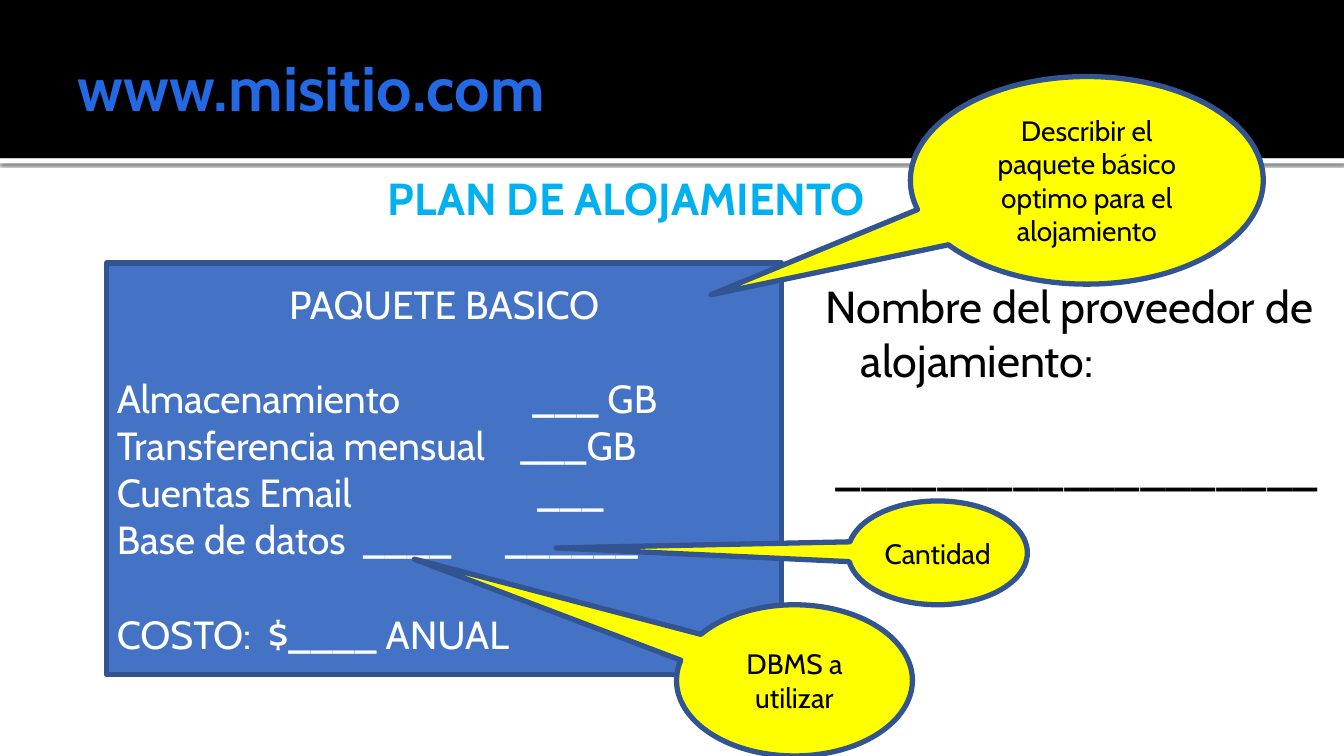
import pptx
import pptx.util
import pptx.dml.color
import pptx.enum.shapes
import pptx.enum.text
import lxml.etree
from dataclasses import dataclass

Inches, Pt = pptx.util.Inches, pptx.util.Pt
Kind = pptx.enum.shapes.MSO_SHAPE
Align = pptx.enum.text.PP_ALIGN
Anchor = pptx.enum.text.MSO_ANCHOR
Fit = pptx.enum.text.MSO_AUTO_SIZE

FONT = "Cabin"
COLORS = {
    "white": "FFFFFF", "black": "000000", "title": "2469E4", "plan": "00B0F0",
    "box": "4472C4", "edge": "325491", "bubble": "FFFF00",
}


@dataclass
class Row:
    text: str
    tabs: tuple = ()
    gap: float = 0
    align: Align = Align.LEFT


@dataclass
class Bubble:
    text: str
    area: tuple
    tip: tuple


PACKAGE = [
    Row("PAQUETE BASICO", align=Align.CENTER),
    Row("Almacenamiento\t___ GB", (4.12,), 34),
    Row("Transferencia mensual\t___GB", (4,)),
    Row("Cuentas Email\t___", (4.17,)),
    Row("Base de datos\t____\t______", (2.44, 3.85)),
    Row("COSTO:\t$____ ANUAL", (1.5,), 34),
]
HOST = [
    Row("Nombre del proveedor de alojamiento:"),
    Row(" ___________________", gap=39),
]
BUBBLES = [
    Bubble("Describir el paquete básico optimo para el alojamiento",
           (9.03, 0.76, 3.5, 2.06), (-1.065, 0.551)),
    Bubble("DBMS a utilizar", (6.71, 6, 2.34, 1.5), (-1.611, -0.802)),
    Bubble("Cantidad", (8.41, 4.97, 1.78, 1.03), (-2.126, -0.047)),
]


def color(name: str) -> pptx.dml.color.RGBColor:
    return pptx.dml.color.RGBColor.from_string(COLORS[name])


def add_xml(parent, tag: str, **attrs):
    name = pptx.oxml.ns.qn(f"a:{tag}")
    return lxml.etree.SubElement(parent, name, attrs)


def style(para, size: float, tint: str, bold: bool = False) -> None:
    para.font.name = FONT
    para.font.size = Pt(size)
    para.font.bold = bold
    para.font.color.rgb = color(tint)


def write(frame, rows: list, size: float, tint: str, bold: bool = False) -> None:
    for i, row in enumerate(rows):
        para = frame.add_paragraph() if i else frame.paragraphs[0]
        para.text = row.text
        para.alignment = row.align
        para.space_before = Pt(row.gap)
        if row.tabs:
            stops = add_xml(para._p.get_or_add_pPr(), "tabLst")
            for stop in row.tabs:
                add_xml(stops, "tab", pos=str(Inches(stop)), algn="l")
        style(para, size, tint, bold)


def inset(frame, left: float, top: float, right: float, bottom: float) -> None:
    frame.margin_left, frame.margin_top = Inches(left), Inches(top)
    frame.margin_right, frame.margin_bottom = Inches(right), Inches(bottom)


def add_shape(slide, kind: Kind, area: tuple, fill: str, edge: bool = True):
    shape = slide.shapes.add_shape(kind, *map(Inches, area))
    shape.shadow.inherit = False
    shape.fill.solid()
    shape.fill.fore_color.rgb = color(fill)
    if edge:
        shape.line.color.rgb = color("edge")
        shape.line.width = Pt(3.78)
        add_xml(shape.line._get_or_add_ln(), "round")
    else:
        shape.line.fill.background()
    shape.text_frame.vertical_anchor = Anchor.MIDDLE
    return shape


def add_text(slide, area: tuple, wrap: bool):
    frame = slide.shapes.add_textbox(*map(Inches, area)).text_frame
    frame.word_wrap = wrap
    return frame


def add_header(slide) -> None:
    strip = add_shape(slide, Kind.RECTANGLE, (0, 1.57, 13.33, 0.05), "white", False)
    effects = strip._element.spPr.find(pptx.oxml.ns.qn("a:effectLst"))
    shade = add_xml(effects, "outerShdw", blurRad=str(Pt(2.5)), dist=str(Pt(0.8)),
                    dir="5400000", algn="tl", rotWithShape="0")
    tint = add_xml(shade, "srgbClr", val=COLORS["black"])
    add_xml(tint, "alpha", val="60000")
    add_shape(slide, Kind.RECTANGLE, (0, 0, 13.33, 1.57), "black", False)

    title = slide.shapes.title
    title.left, title.top = Inches(0.67), Inches(0.17)
    title.width, title.height = Inches(12), Inches(1.37)
    frame = title.text_frame
    frame.auto_size = Fit.NONE
    frame.vertical_anchor = Anchor.MIDDLE
    inset(frame, 0.1, 0.05, 0.05, 0.05)
    write(frame, [Row("www.misitio.com")], 45, "title", True)
    title.element.getparent().append(title.element)  # bring in front of the band


def add_host(slide) -> None:
    frame = add_text(slide, (8, 2.67, 5.33, 4.33), True)
    inset(frame, 0.06, 0.1, 0.1, 0.05)
    write(frame, HOST, 32, "black")
    for para in frame.paragraphs:
        props = para._p.get_or_add_pPr()
        props.set("marL", str(Inches(0.48)))
        props.set("indent", str(Inches(-0.35)))


def add_bubble(slide, bubble: Bubble) -> None:
    shape = add_shape(slide, Kind.OVAL_CALLOUT, bubble.area, "bubble")
    for i, value in enumerate(bubble.tip):
        shape.adjustments[i] = value
    write(shape.text_frame, [Row(bubble.text, align=Align.CENTER)], 20, "black")


def main() -> None:
    deck = pptx.Presentation()
    deck.slide_width, deck.slide_height = Inches(13.33), Inches(7.5)
    slide = deck.slides.add_slide(deck.slide_layouts.get_by_name("Title Only"))
    add_header(slide)
    plan = add_text(slide, (3.75, 1.64, 5.03, 0.64), False)
    plan.auto_size = Fit.SHAPE_TO_FIT_TEXT
    write(plan, [Row("PLAN DE ALOJAMIENTO")], 32, "plan", True)
    box = add_shape(slide, Kind.RECTANGLE, (1.06, 2.61, 6.69, 4.08), "box")
    write(box.text_frame, PACKAGE, 28, "white")
    add_host(slide)
    for bubble in BUBBLES:
        add_bubble(slide, bubble)
    deck.save("out.pptx")


if __name__ == "__main__":
    main()
